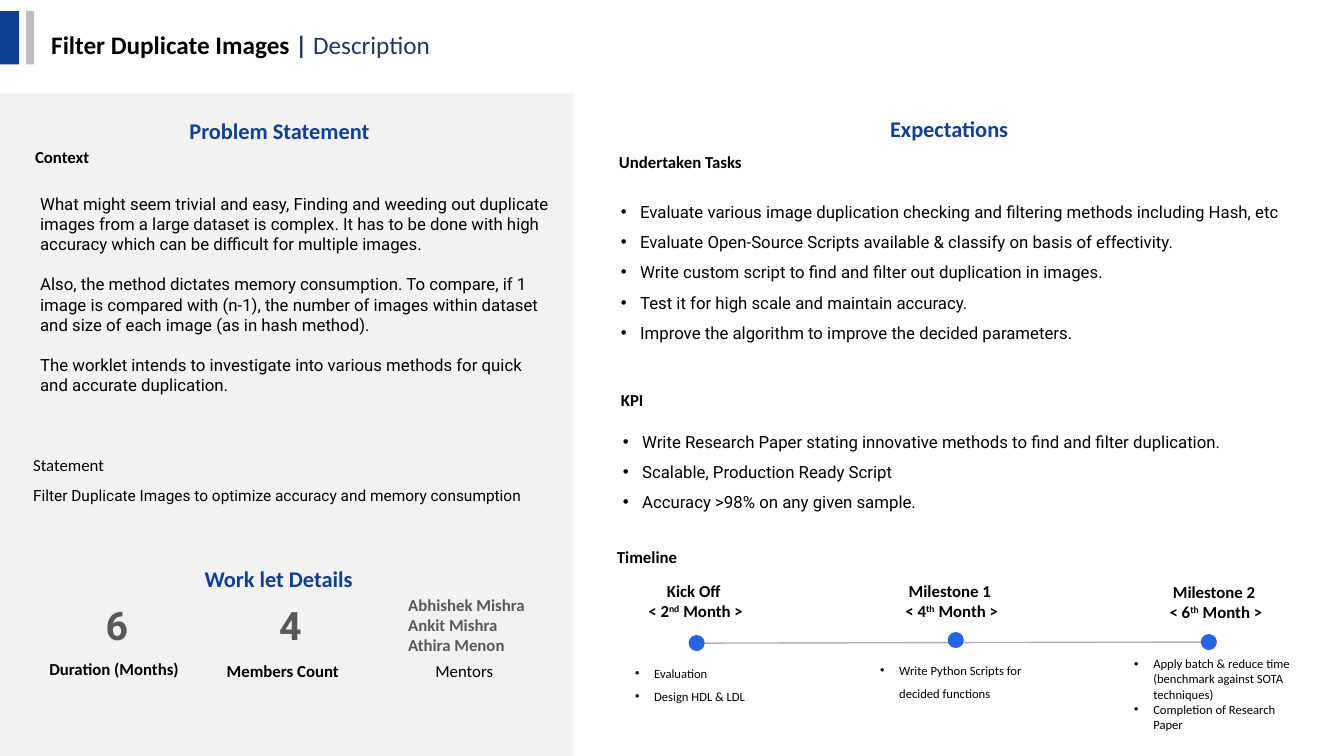
from pptx import Presentation
from pptx.dml.color import RGBColor
from pptx.enum.shapes import MSO_CONNECTOR, MSO_SHAPE
from pptx.enum.text import MSO_ANCHOR, PP_ALIGN
from pptx.oxml.ns import qn
from pptx.util import Inches, Pt
from lxml import etree

RECTANGLE, OVAL = MSO_SHAPE.RECTANGLE, MSO_SHAPE.OVAL
STRAIGHT = MSO_CONNECTOR.STRAIGHT
TOP, MIDDLE = MSO_ANCHOR.TOP, MSO_ANCHOR.MIDDLE
CENTER = PP_ALIGN.CENTER

CELL = 0.1
COLUMNS, ROWS = 133.3, 75
BLUE, GRAY, BLACK, NAVY = "0E4094", "595959", "000000", "203864"

HEADING = {"name": "Calibri", "size": 16, "bold": True, "color": BLUE}
LABEL = {"name": "Calibri", "size": 12, "bold": True, "color": BLACK}
PLAIN = {**LABEL, "bold": False}
BODY = {**PLAIN, "name": "Roboto"}
STATEMENT = {**BODY, "size": 11}
NOTE = {**PLAIN, "size": 9}
FIGURE = {**LABEL, "name": "Roboto", "size": 28, "color": GRAY}
MENTOR = {**LABEL, "color": GRAY}
TITLE = {**LABEL, "size": 18}


def cells(number):
    return Inches(number * CELL)


def color(value):
    return RGBColor.from_string(value)


def place(box, left, top, width, height):
    return [cells(n) for n in (box[0] + left, box[1] + top, width, height)]


def set_font(font, style):
    values = {**style, "size": Pt(style["size"])}
    font.color.rgb = color(values.pop("color"))
    for name, value in values.items():
        setattr(font, name, value)


def add_block(slide, kind, position, fill):
    shape = slide.shapes.add_shape(kind, *position)
    shape.shadow.inherit = False
    shape.fill.solid()
    shape.fill.fore_color.rgb = color(fill)
    shape.line.fill.background()
    return shape


def add_bullet(paragraph):
    properties = paragraph._p.get_or_add_pPr()
    properties.set("marL", str(Inches(0.19)))
    properties.set("indent", str(-Inches(0.19)))
    etree.SubElement(properties, qn("a:buFont")).set("typeface", "Arial")
    etree.SubElement(properties, qn("a:buChar")).set("char", "•")


def add_text(slide, position, paragraphs, style, wrap=True, anchor=TOP,
             bullet=False, spacing=None, gap=0, align=None):
    frame = slide.shapes.add_textbox(*position).text_frame
    frame.word_wrap = wrap
    frame.vertical_anchor = anchor
    for index, text in enumerate(paragraphs):
        paragraph = frame.paragraphs[0] if index == 0 else frame.add_paragraph()
        if index and gap:
            paragraph.space_before = Pt(gap)
        if spacing:
            paragraph.line_spacing = spacing
        if align:
            paragraph.alignment = align
        if bullet:
            add_bullet(paragraph)
        if text:
            run = paragraph.add_run()
            run.text = text
            set_font(run.font, style)
    return frame


def add_header(slide, box):
    add_block(slide, RECTANGLE, place(box, 0, 0, 1.9, 5.3), BLUE)
    add_block(slide, RECTANGLE, place(box, 2.6, 0, 0.8, 5.3), "BFBFBF")
    frame = add_text(slide, place(box, 4.1, 1.3, 112, 4),
                     ["Filter Duplicate Images "], TITLE, anchor=MIDDLE)
    for text, bold in (("|", True), (" Description", False)):
        run = frame.paragraphs[0].add_run()
        run.text = text
        set_font(run.font, {**TITLE, "color": NAVY, "bold": bold})


def add_problem(slide, box):
    panel = add_block(slide, RECTANGLE, place(box, 0, 0, *box[2:]), "F2F2F2")
    panel.line.color.rgb = color("F2F2F2")
    panel.line.width = Pt(1)
    add_text(slide, place(box, 17.8, 1.8, 21.8, 3.7), ["Problem Statement"], HEADING, wrap=False)
    add_text(slide, place(box, 2.5, 4.8, 8, 3), ["Context"], LABEL, wrap=False)
    add_text(slide, place(box, 3, 9.3, 53, 21.2), [
        "What might seem trivial and easy, Finding and weeding out duplicate images from a large "
        "dataset is complex. It has to be done with high accuracy which can be difficult for "
        "multiple images.",
        "Also, the method dictates memory consumption. To compare, if 1 image is compared with "
        "(n-1), the number of images within dataset and size of each image (as in hash method).",
        "The worklet intends to investigate into various methods for quick and accurate "
        "duplication.",
    ], BODY, anchor=MIDDLE, gap=14.4)
    add_text(slide, place(box, 2.3, 35.3, 53, 3), ["Statement"], PLAIN)
    add_text(slide, place(box, 2.3, 38.4, 52.8, 2.9),
             ["Filter Duplicate Images to optimize accuracy and memory consumption"],
             STATEMENT, anchor=MIDDLE)


def add_details(slide, box):
    add_text(slide, place(box, 19.3, 0, 18.2, 3.7), ["Work let Details"], HEADING, wrap=False)
    details = [
        (9.5, 3.6, 4.2, 5.7, ["6"], FIGURE),
        (3.9, 9.3, 15.8, 3, ["Duration (Months)"], LABEL),
        (26.7, 3.6, 4.5, 5.7, ["4"], FIGURE),
        (21.5, 9.5, 13.9, 3, ["Members Count"], LABEL),
        (39.5, 2.9, 14.6, 7.1, ["Abhishek Mishra", "Ankit Mishra", "Athira Menon"], MENTOR),
    ]
    for *position, paragraphs, style in details:
        add_text(slide, place(box, *position), paragraphs, style, wrap=False)
    add_text(slide, place(box, 42.2, 9.5, 11.4, 3), ["Mentors"], PLAIN)


def add_expectations(slide, box):
    add_text(slide, place(box, 27.3, 0, 15.1, 3.7), ["Expectations"], HEADING, wrap=False)
    sections = [
        ("Undertaken Tasks", 0.4, 3.7, 15.5, (0.6, 7.6, 70.1, 16.2), [
            "Evaluate various image duplication checking and filtering methods including Hash, etc",
            "Evaluate Open-Source Scripts available & classify on basis of effectivity.\u00a0",
            "Write custom script to find and filter out duplication in images.",
            "Test it for high scale and maintain accuracy.",
            "Improve the algorithm to improve the decided parameters.",
        ]),
        ("KPI", 0.6, 27.3, 4.5, (0.8, 30.4, 69, 10.1), [
            "Write Research Paper stating innovative methods to find and filter duplication.",
            "Scalable, Production Ready Script",
            "Accuracy >98% on any given sample.",
        ]),
    ]
    for label, left, top, width, list_box, items in sections:
        add_text(slide, place(box, left, top, width, 3), [label], LABEL, wrap=False)
        add_text(slide, place(box, *list_box), items, BODY, bullet=True, spacing=1.5)


def add_timeline(slide, box):
    add_text(slide, place(box, 0.2, 0, 8.6, 3), ["Timeline"], LABEL, wrap=False)
    start_x, start_y, width, height = place(box, 9.8, 10.1, 50.8, -0.1)
    line = slide.shapes.add_connector(STRAIGHT, start_x, start_y, start_x + width, start_y + height)
    line.line.color.rgb = color("B2B2B2")
    line.line.width = Pt(1)
    etree.SubElement(line._element.spPr, qn("a:effectLst"))
    milestones = [
        ("Kick Off", "2", "nd", (1.3, 3.4), (8.3, 9.3), (2, 11.1), 1.5,
         ["Evaluation", "Design HDL & LDL"]),
        ("Milestone 1", "4", "th", (26.7, 3.4), (34, 9), (26.3, 10.8), 1.5,
         ["Write Python Scripts for decided functions"]),
        ("Milestone 2", "6", "th", (52.9, 3.5), (59.1, 9.2), (51.5, 10.9), None,
         ["Apply batch & reduce time (benchmark against SOTA techniques)",
          "Completion of Research Paper"]),
    ]
    for name, month, suffix, caption_at, dot_at, notes_at, spacing, notes in milestones:
        add_block(slide, OVAL, place(box, *dot_at, 1.6, 1.6), "2664E3")
        frame = add_text(slide, place(box, *caption_at, 15.4, 5), [name + " "], LABEL, align=CENTER)
        paragraph = frame.paragraphs[0]
        paragraph.add_line_break()
        for text in (f"< {month}", suffix, " Month >"):
            run = paragraph.add_run()
            run.text = text
            set_font(run.font, LABEL)
            if text == suffix:
                run.font._element.set("baseline", "30000")
        add_text(slide, place(box, *notes_at, 18.3, 8.6), notes, NOTE, bullet=True, spacing=spacing)


def main():
    presentation = Presentation()
    presentation.slide_width = cells(COLUMNS)
    presentation.slide_height = cells(ROWS)
    slide = presentation.slides.add_slide(presentation.slide_layouts[6])
    add_problem(slide, (0, 9.3, 56.8, 65.7))
    add_header(slide, (0, 1.1))
    add_details(slide, (0, 55.6))
    add_expectations(slide, (60, 10.9))
    add_timeline(slide, (60, 53.7))
    presentation.save("out.pptx")


if __name__ == "__main__":
    main()
